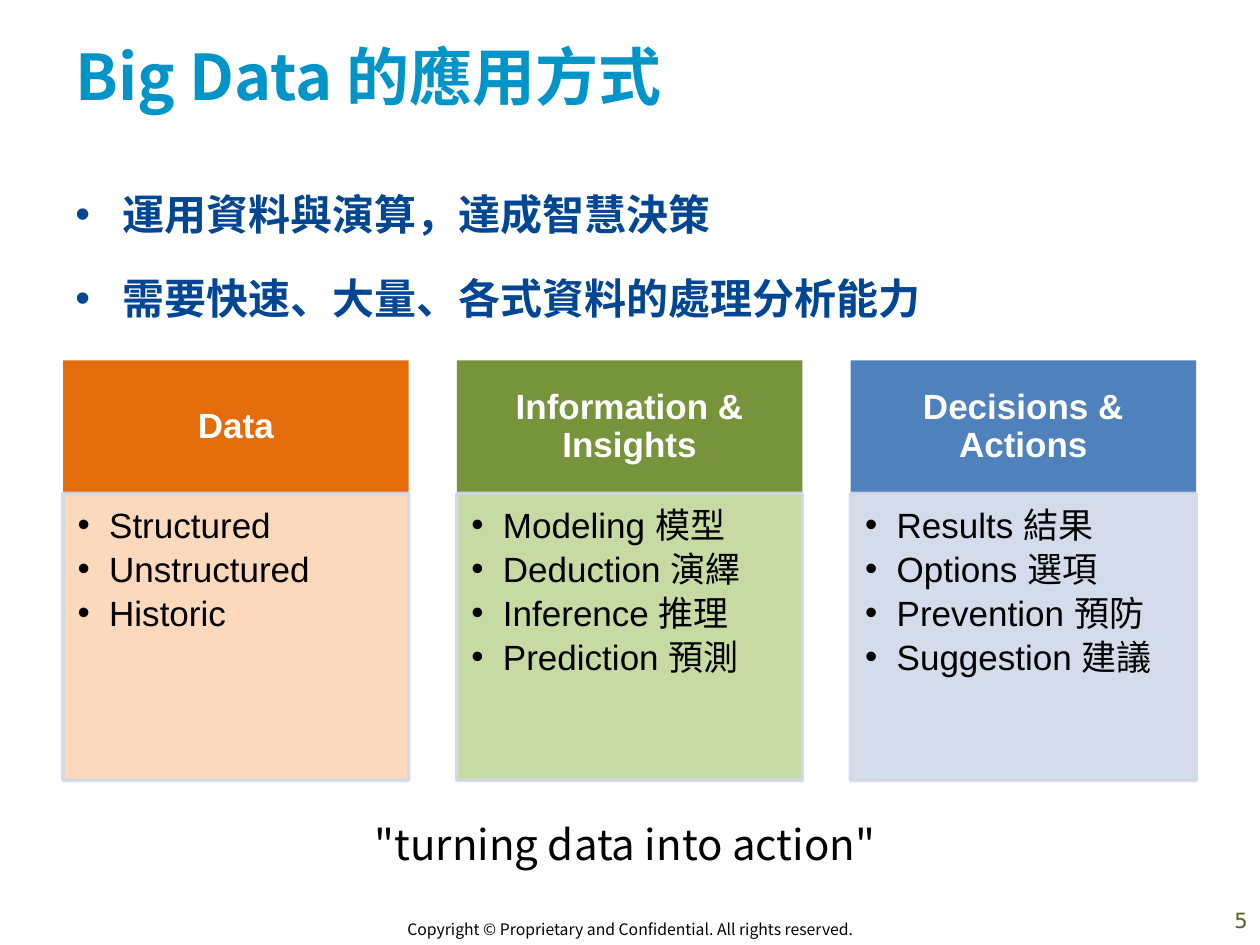
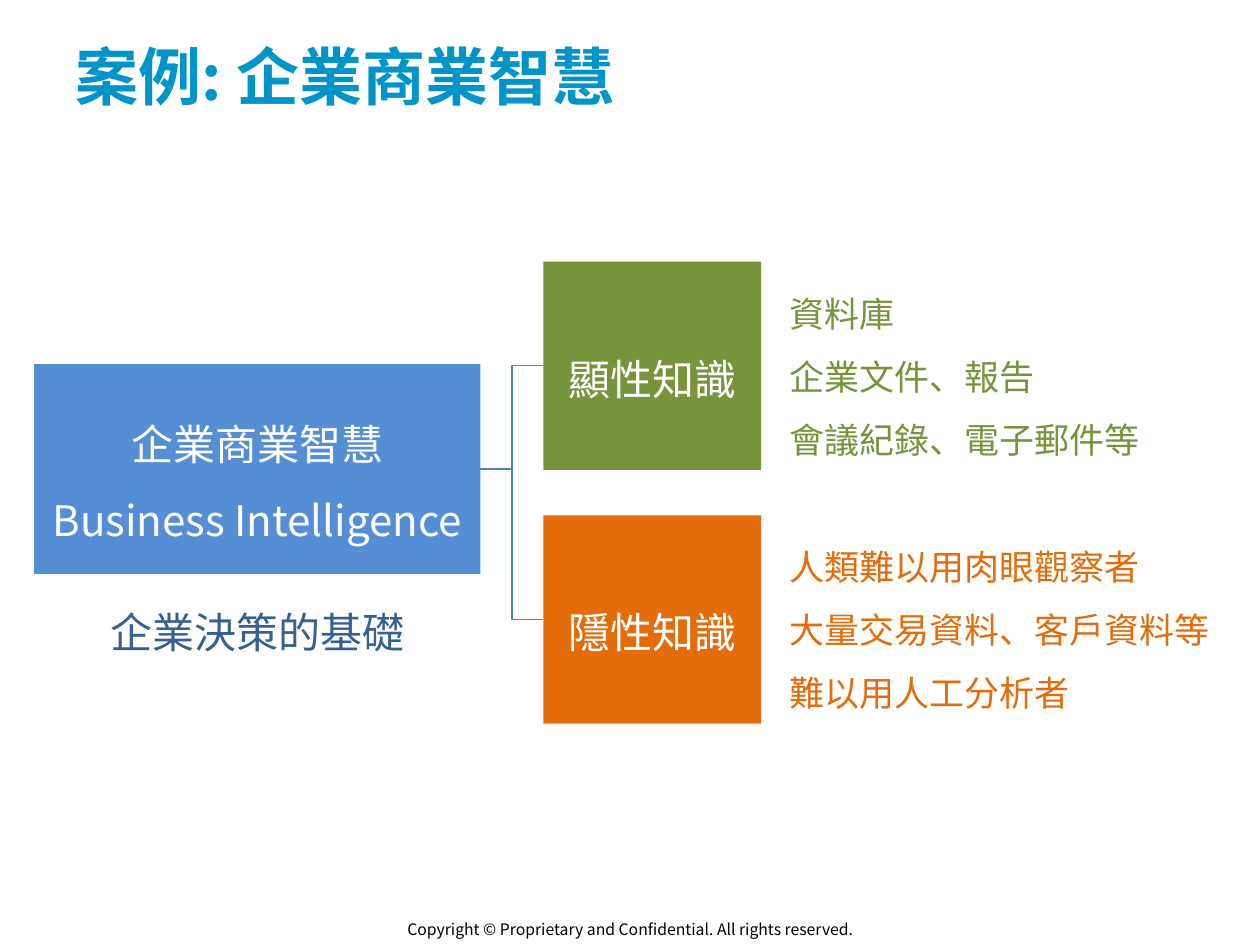
from lxml import etree
from pptx import Presentation
from pptx.dml.color import RGBColor
from pptx.enum.shapes import MSO_CONNECTOR, MSO_SHAPE
from pptx.enum.text import MSO_ANCHOR, PP_ALIGN
from pptx.oxml.ns import qn
from pptx.util import Pt

RECT, ELBOW = MSO_SHAPE.RECTANGLE, MSO_CONNECTOR.ELBOW
TOP, MIDDLE = MSO_ANCHOR.TOP, MSO_ANCHOR.MIDDLE
LEFT, CENTER, RIGHT = PP_ALIGN.LEFT, PP_ALIGN.CENTER, PP_ALIGN.RIGHT

WHITE, BLACK = RGBColor(255, 255, 255), RGBColor(0, 0, 0)
CYAN = RGBColor(0x00, 0x94, 0xC8)
NAVY = RGBColor(0x00, 0x46, 0x92)
ORANGE = RGBColor(0xE4, 0x6C, 0x0A)
GREEN = RGBColor(0x77, 0x93, 0x3C)
BLUE = RGBColor(0x4F, 0x81, 0xBD)
SKY = RGBColor(0x55, 0x8E, 0xD5)
STEEL = RGBColor(0x37, 0x60, 0x92)
OLIVE = RGBColor(0x4F, 0x62, 0x28)
PEACH = RGBColor(0xFC, 0xD5, 0xB5)
LIME = RGBColor(0xC3, 0xD6, 0x9B)
MIST = RGBColor(0xD0, 0xD8, 0xE8)
NOTO, ARIAL, DEJAVU = "Noto Sans CJK SC", "Arial", "DejaVu Sans"

FOOTER = "Copyright © Proprietary and Confidential. All rights reserved."
USES = {
    "title": "Big Data 的應用方式",
    "points": ["運用資料與演算，達成智慧決策", "需要快速、大量、各式資料的處理分析能力"],
    "cards": [
        ("Data", ORANGE, PEACH, ["Structured", "Unstructured", "Historic"]),
        ("Information & Insights", GREEN, LIME,
         ["Modeling 模型", "Deduction 演繹", "Inference 推理", "Prediction 預測"]),
        ("Decisions & Actions", BLUE, MIST,
         ["Results 結果", "Options 選項", "Prevention 預防", "Suggestion 建議"]),
    ],
    "motto": '"turning data into action"',
    "number": "5",
}
CASE = {
    "title": "案例: 企業商業智慧",
    "root": ["企業商業智慧", "Business Intelligence"],
    "base": "企業決策的基礎",
    "kinds": [
        ("顯性知識", GREEN, ["資料庫", "企業文件、報告", "會議紀錄、電子郵件等"]),
        ("隱性知識", ORANGE,
         ["人類難以用肉眼觀察者", "大量交易資料、客戶資料等", "難以用人工分析者"]),
    ],
}

# Text styles: font, paragraph and frame values
TITLE = {"font": {"size": Pt(36), "bold": True}, "color": CYAN, "anchor": MIDDLE}
FOOT = {"font": {"size": Pt(9)}, "para": {"alignment": CENTER}}
NUMBER = {"font": {"size": Pt(12), "name": DEJAVU}, "color": OLIVE,
          "para": {"alignment": RIGHT}, "anchor": MIDDLE}
POINT = {"font": {"size": Pt(24), "bold": True}, "color": NAVY, "indent": 27,
         "para": {"line_spacing": 1.5, "space_before": Pt(4.8)}}
HEAD = {"font": {"size": Pt(20), "bold": True, "name": ARIAL}, "color": WHITE,
        "para": {"alignment": CENTER, "line_spacing": 0.9},
        "anchor": MIDDLE, "pad": (11.2, 6.4, 11.2, 6.4)}
ITEM = {"font": {"size": Pt(20), "name": ARIAL}, "indent": 18,
        "para": {"line_spacing": 0.9, "space_after": Pt(3.5)},
        "pad": (8.4, 8.4, 11.2, 12.6)}
MOTTO = {"font": {"size": Pt(24)}}
LABEL = {"font": {"size": Pt(24)}, "color": WHITE, "anchor": MIDDLE,
         "para": {"alignment": CENTER, "line_spacing": 1.5}}
BASE = {**LABEL, "color": STEEL}
DETAIL = {"font": {"size": Pt(20)}, "anchor": MIDDLE, "para": {"line_spacing": 1.5}}


def assign(target, values):
    for name, value in values.items():
        setattr(target, name, value)


def bullet(para, indent):
    props = para._p.get_or_add_pPr()
    props.set("marL", str(Pt(indent)))
    props.set("indent", str(-Pt(indent)))
    etree.SubElement(props, qn("a:buFont")).set("typeface", ARIAL)
    etree.SubElement(props, qn("a:buChar")).set("char", "•")


def write(shape, lines, style):
    frame = shape.text_frame
    pad = style.get("pad", (7.2, 3.6, 7.2, 3.6))
    sides = ("margin_left", "margin_top", "margin_right", "margin_bottom")
    assign(frame, dict(zip(sides, map(Pt, pad))))
    assign(frame, {"word_wrap": True, "vertical_anchor": style.get("anchor", TOP)})
    for i, line in enumerate(lines):
        para = frame.add_paragraph() if i else frame.paragraphs[0]
        assign(para, {"alignment": LEFT, **style.get("para", {})})
        if "indent" in style:
            bullet(para, style["indent"])
        run = para.add_run()
        run.text = line
        assign(run.font, {"name": NOTO, **style["font"]})
        run.font.color.rgb = style.get("color", BLACK)
        etree.SubElement(run._r.get_or_add_rPr(), qn("a:ea")).set("typeface", NOTO)


def text(slide, box, lines, style):
    shape = slide.shapes.add_textbox(*map(Pt, box))
    write(shape, lines, style)
    return shape


def block(slide, box, fill, lines, style):
    """Add a filled, unlined rectangle holding text."""
    shape = slide.shapes.add_shape(RECT, *map(Pt, box))
    shape.shadow.inherit = False
    shape.fill.solid()
    shape.fill.fore_color.rgb = fill
    shape.line.fill.background()
    write(shape, lines, style)
    return shape


def frost(shape):
    """Give a card its pale border and make fill and border 90% opaque."""
    shape.line.color.rgb = MIST
    shape.line.width = Pt(2)
    for color in shape._element.spPr.iter(qn("a:srgbClr")):
        etree.SubElement(color, qn("a:alpha")).set("val", "90000")


def link(slide, start, end):
    line = slide.shapes.add_connector(ELBOW, *map(Pt, start + end))
    line.line.color.rgb = BLUE
    line.line.width = Pt(0.79)
    etree.SubElement(line._element.spPr, qn("a:effectLst"))


def start(deck, title):
    slide = deck.slides.add_slide(deck.slide_layouts[6])
    text(slide, (0, 522, 720, 18), [FOOTER], FOOT)
    text(slide, (36, -2, 648, 90), [title], TITLE)
    return slide


def show_uses(deck):
    slide = start(deck, USES["title"])
    text(slide, (36, 90, 648, 110), USES["points"], POINT)
    wide, step, top, head, tall = 197.5, 225, 206, 76, 164
    for i, (name, dark, pale, items) in enumerate(USES["cards"]):
        left = 36 + i * step
        block(slide, (left, top, wide, head), dark, [name], HEAD)
        frost(block(slide, (left, top + head, wide, tall), pale, items, ITEM))
    text(slide, (207, 464, 302, 36), [USES["motto"]], MOTTO)
    text(slide, (552, 511, 168, 29), [USES["number"]], NUMBER)


def show_case(deck):
    slide = start(deck, CASE["title"])
    left, wide, tall, mid = 19.5, 255, 119, 268
    block(slide, (left, 208, wide, 120), SKY, CASE["root"], LABEL)
    text(slide, (left, 294.5, wide, tall), [CASE["base"]], BASE)
    for i, (name, hue, lines) in enumerate(CASE["kinds"]):
        top = 149.5 + i * 145
        block(slide, (310.5, top, 124.5, tall), hue, [name], LABEL)
        text(slide, (444, top, 266, tall), lines, {**DETAIL, "color": hue})
        link(slide, (left + wide, mid), (310.5, top + tall / 2))


def main():
    deck = Presentation()
    deck.slide_width, deck.slide_height = Pt(720), Pt(540)
    show_uses(deck)
    show_case(deck)
    deck.save("out.pptx")


if __name__ == "__main__":
    main()
